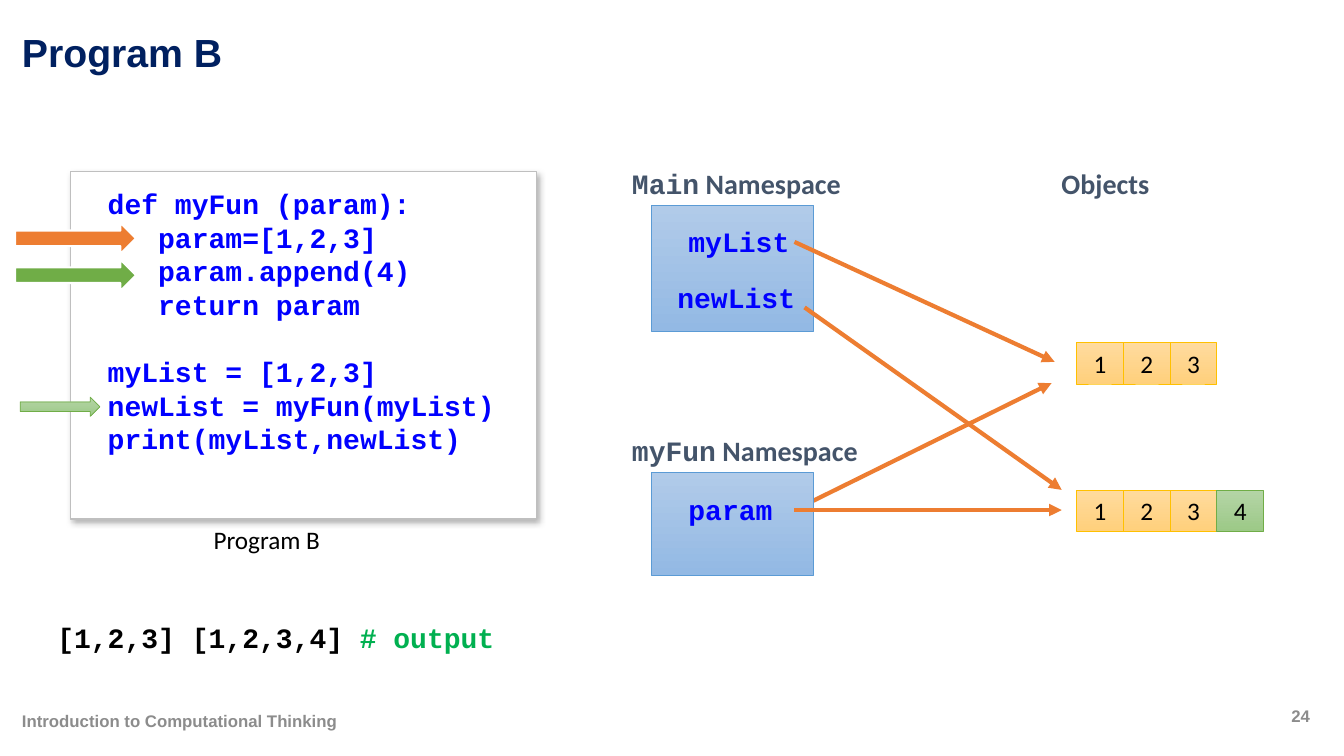
"""Builds a slide that traces names and list objects through a short program."""
import pptx
import pptx.dml.color
import pptx.enum.shapes
import pptx.enum.text
import pptx.oxml
import pptx.oxml.ns
import pptx.util

RGB = pptx.dml.color.RGBColor
SHAPE = pptx.enum.shapes.MSO_SHAPE
ANCHOR = pptx.enum.text.MSO_ANCHOR
CENTER = pptx.enum.text.PP_ALIGN.CENTER
Pt = pptx.util.Pt

WHITE, BLACK = RGB(0xFF, 0xFF, 0xFF), RGB(0, 0, 0)
NAVY, GREY, SLATE = RGB(0, 0x20, 0x60), RGB(0x8C, 0x8C, 0x8C), RGB(0x44, 0x54, 0x6A)
CODE_BLUE, COMMENT_GREEN = RGB(0, 0, 0xFF), RGB(0, 0xB0, 0x50)
PANEL_LINE, BLUE_LINE = RGB(0xBF, 0xBF, 0xBF), RGB(0x5B, 0x9B, 0xD5)
ORANGE, GREEN, GOLD = RGB(0xED, 0x7D, 0x31), RGB(0x70, 0xAD, 0x47), RGB(0xFF, 0xC0, 0)
BLUE_FADE = (RGB(0xB1, 0xCB, 0xE9), RGB(0x93, 0xB9, 0xE4))
GOLD_FADE = (RGB(0xFF, 0xDB, 0x9E), RGB(0xFF, 0xD0, 0x7C))
GREEN_FADE = (RGB(0xB5, 0xD5, 0xA7), RGB(0x9C, 0xC9, 0x87))
MONO, SANS, ARIAL = "Courier New", "Calibri", "Arial"

SLIDE_W, SLIDE_H = pptx.util.Inches(13.33), pptx.util.Inches(7.5)
UNIT = SLIDE_H / 75

CODE = [
    ("def myFun (param):", 0),
    ("   param=[1,2,3]", 0),
    ("   param.append(4)", 0),
    ("   return param", 0),
    ("myList = [1,2,3]", 24),
    ("newList = myFun(myList)", 0),
    ("print(myList,newList)", 0),
]


def grid(*lengths):
    """Turn grid units into slide lengths."""
    return [round(n * UNIT) for n in lengths]


def style(font, size, name, color, bold):
    """Set the look of a font."""
    font.size, font.name, font.bold = Pt(size), name, bold
    font.color.rgb = color


def text(s, box, content, size, name, color, bold=True, anchor=ANCHOR.TOP):
    """Add a one-line text box and return its paragraph."""
    tf = s.shapes.add_textbox(*grid(*box)).text_frame
    tf.word_wrap, tf.vertical_anchor = True, anchor
    p = tf.paragraphs[0]
    p.text = content
    style(p.font, size, name, color, bold)
    return p


def shape(s, kind, box, fill, line, weight):
    """Add a preset shape with a flat colour or a downward fade."""
    sp = s.shapes.add_shape(kind, *grid(*box))
    sp.shadow.inherit = False
    if isinstance(fill, RGB):
        sp.fill.solid()
        sp.fill.fore_color.rgb = fill
    else:
        sp.fill.gradient()
        sp.fill.gradient_angle = 270
        for stop, color in zip(sp.fill.gradient_stops, fill):
            stop.color.rgb = color
    sp.line.color.rgb, sp.line.width = line, Pt(weight)
    return sp


def reference(s, x1, y1, x2, y2):
    """Draw an arrow from a name to its object."""
    line = s.shapes.add_connector(
        pptx.enum.shapes.MSO_CONNECTOR.STRAIGHT, *grid(x1, y1, x2, y2))
    line.line.color.rgb, line.line.width = ORANGE, Pt(3)
    ln = line.line._get_or_add_ln()
    ln.append(ln.makeelement(pptx.oxml.ns.qn("a:tailEnd"), {"type": "triangle"}))
    pr = ln.getparent()
    pr.append(pr.makeelement(pptx.oxml.ns.qn("a:effectLst"), {}))


def frame(s, w, h):
    """Place the title, the footer and the slide number."""
    text(s, (1.2, 1.7, w - 6.3, 6.8), "Program B", 28, ARIAL, NAVY, anchor=ANCHOR.MIDDLE)
    text(s, (1.2, h - 5.5, 82.4, 4), "Introduction to Computational Thinking",
         12, ARIAL, GREY, anchor=ANCHOR.MIDDLE)
    number = text(s, (w - 6.7, h - 6, 4.8, 4), "24", 12, ARIAL, GREY, anchor=ANCHOR.MIDDLE)
    number.alignment = CENTER


def code_panel(s, x, y, w, h):
    """Place the shadowed panel, its code and its caption."""
    panel = shape(s, SHAPE.RECTANGLE, (x, y, w, h), WHITE, PANEL_LINE, 1)
    effects = panel._element.spPr.find(pptx.oxml.ns.qn("a:effectLst"))
    effects.append(pptx.oxml.parse_xml(
        f'<a:outerShdw {pptx.oxml.ns.nsdecls("a")} blurRad="{Pt(4.5)}" dist="{Pt(2.6)}"'
        ' dir="3180000" algn="tl" rotWithShape="0"><a:srgbClr val="000000">'
        '<a:alpha val="30000"/></a:srgbClr></a:outerShdw>'))
    tf = s.shapes.add_textbox(*grid(x + 2.7, y + 1, w - 2.7, 27.9)).text_frame
    tf.word_wrap = True
    for i, (line, gap) in enumerate(CODE):
        p = tf.add_paragraph() if i else tf.paragraphs[0]
        p.text = line
        p.line_spacing = Pt(24)
        if gap:
            p.space_before = Pt(gap)
        style(p.font, 20, MONO, CODE_BLUE, True)
    text(s, (x + 13.2, y + h, 15.3, 4), "Program B", 18, SANS, BLACK, bold=False)


def step_markers(s, x, y):
    """Place the arrows that point at the running lines of code."""
    shape(s, SHAPE.RIGHT_ARROW, (x, y, 12, 3.1), ORANGE, WHITE, 1.5)
    shape(s, SHAPE.RIGHT_ARROW, (x, y + 3.65, 12, 3.1), GREEN, WHITE, 1.5)
    shape(s, SHAPE.RIGHT_ARROW, (x + 0.5, y + 17.3, 7.9, 1.9), GREEN_FADE, GREEN, 0.5)


def namespace(s, x, y, h, name, variables):
    """Place a namespace heading over the box of its variables."""
    shape(s, SHAPE.RECTANGLE, (x + 2.9, y + 4.35, 16.1, h), BLUE_FADE, BLUE_LINE, 0.5)
    p = text(s, (x, y, 25.7, 4.4), name, 20, MONO, SLATE)
    r = p.add_run()
    r.text = " Namespace"
    r.font.name = SANS
    p.runs[0].font.name = MONO
    for dx, dy, variable in variables:
        text(s, (x + dx, y + dy, 14.6, 4.4), variable, 20, MONO, CODE_BLUE)


def list_object(s, x, y, values):
    """Place a list as a row of cells, with the appended fourth in green."""
    for i, value in enumerate(values):
        fill, line = (GREEN_FADE, GREEN) if i == 3 else (GOLD_FADE, GOLD)
        sp = shape(s, SHAPE.RECTANGLE, (x + 4.63 * i, y, 4.63, 4.1), fill, line, 0.5)
        tf = sp.text_frame
        tf.vertical_anchor = ANCHOR.MIDDLE
        p = tf.paragraphs[0]
        p.text, p.alignment = str(value), CENTER
        style(p.font, 18, SANS, BLACK, False)


def output_line(s, x, y):
    """Place the printed result and its comment."""
    p = text(s, (x, y, 66.7, 4.4), "[1,2,3] [1,2,3,4]\t", 20, MONO, BLACK)
    r = p.add_run()
    r.text = "# output"
    r.font.color.rgb = COMMENT_GREEN


def main():
    """Build the slide and save it."""
    prs = pptx.Presentation()
    prs.slide_width, prs.slide_height = SLIDE_W, SLIDE_H
    s = prs.slides.add_slide(prs.slide_layouts[6])
    frame(s, 133.3, 75)
    code_panel(s, 7, 17, 46.2, 34.5)
    step_markers(s, 1.5, 22.1)
    namespace(s, 61.7, 16, 12.5, "Main", [(5.6, 5.8, "myList"), (4.5, 11.3, "newList")])
    reference(s, 78.8, 50.6, 104.3, 38)
    namespace(s, 61.7, 42.5, 10.2, "myFun", [(5.6, 5.9, "param")])
    text(s, (104.3, 16, 11.6, 4.4), "Objects", 20, SANS, SLATE)
    list_object(s, 106.8, 34, [1, 2, 3])
    list_object(s, 106.8, 48.6, [1, 2, 3, 4])
    reference(s, 78.8, 24, 104.6, 35.9)
    reference(s, 78.8, 50.6, 105.3, 50.6)
    reference(s, 79.8, 30.5, 105.3, 48.6)
    output_line(s, 4.7, 61.1)
    prs.save("out.pptx")


if __name__ == "__main__":
    main()
